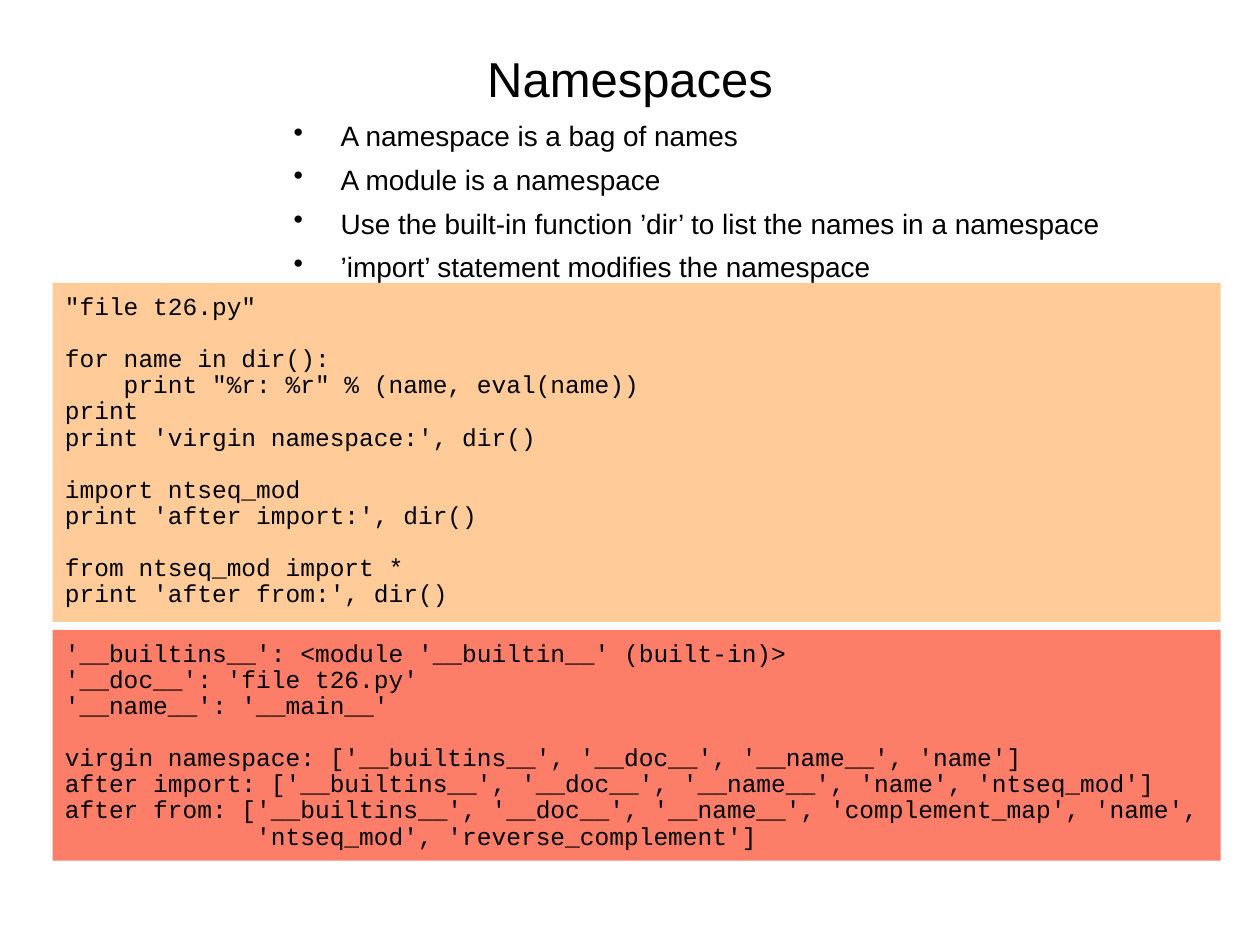
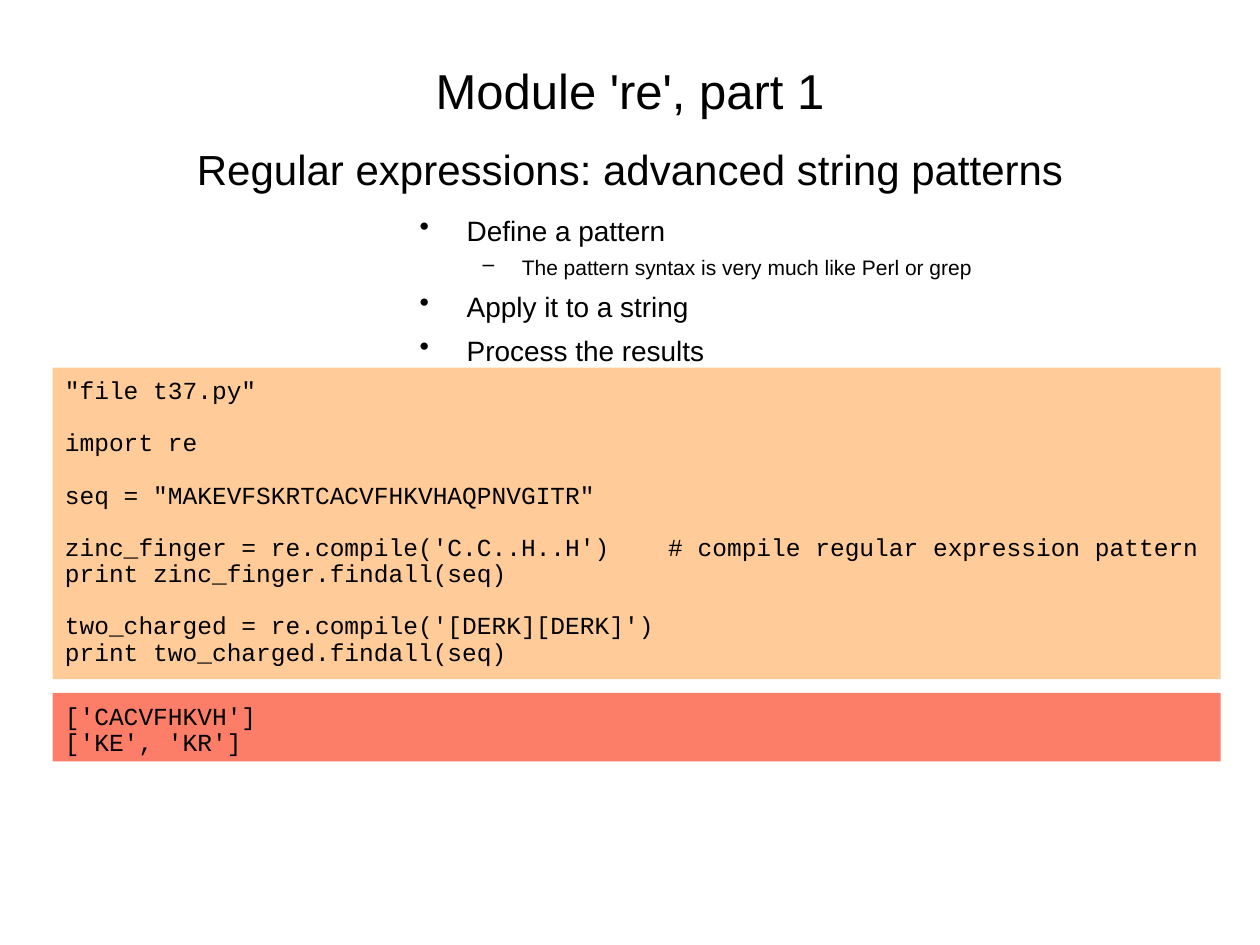
from lxml.etree import SubElement
from pptx import Presentation
from pptx.dml.color import RGBColor
from pptx.enum.shapes import MSO_SHAPE as Shape
from pptx.enum.text import MSO_ANCHOR as Anchor, PP_ALIGN as Align
from pptx.oxml.ns import qn
from pptx.util import Cm, Pt

INK, CODE, OUT = "000000", "FFCC99", "FC7D68"
SANS, MONO = "Arial", "Courier New"
PITCH = 14.95  # height of a code line, points

# Per bullet level: sign, text indent and hang in cm, size and gap in points
LEVELS = [("•", 0.95, 0.95, 16, 4), ("–", 2.06, 0.79, 12, 3)]


def hue(code):
    return RGBColor.from_string(code)


def style(par, name, size):
    par.font.name, par.font.size = name, Pt(size)
    par.font.color.rgb = hue(INK)


def frame(shape, pad=(0, 0), anchor=Anchor.TOP):
    """Prepare a text frame; pad is the side and top inset in cm."""
    text = shape.text_frame
    text.word_wrap, text.vertical_anchor = True, anchor
    text.margin_left = text.margin_right = Cm(pad[0])
    text.margin_top, text.margin_bottom = Cm(pad[1]), 0
    return text


def fill_in(text, lines):
    """Yield each line's paragraph, starting with the one already there."""
    for i, line in enumerate(lines):
        par = text.add_paragraph() if i else text.paragraphs[0]
        par.text = line
        yield i, par


def heading(shape, words, size):
    text = frame(shape, anchor=Anchor.MIDDLE)
    for _, par in fill_in(text, [words]):
        par.alignment, par.line_spacing = Align.CENTER, 1.04
        style(par, SANS, size)


def add_title(slide, words, top):
    title = slide.shapes.title
    title.left, title.top = Cm(1.9), Cm(top)
    title.width, title.height = Cm(21.6), Cm(1.42)
    heading(title, words, 28)


def add_lead(slide, words, top):
    box = slide.shapes.add_textbox(Cm(1.9), Cm(top), Cm(21.6), Cm(1.3))
    heading(box, words, 24)


def add_list(slide, items, box):
    """Place (level, words) items as a bulleted list."""
    text = frame(slide.shapes.add_textbox(*map(Cm, box)))
    for i, par in fill_in(text, [words for _, words in items]):
        par.level = items[i][0]
        sign, left, hang, size, gap = LEVELS[par.level]
        props = par._p.get_or_add_pPr()
        props.set("marL", str(Cm(left)))
        props.set("indent", str(-Cm(hang)))
        SubElement(props, qn("a:buChar")).set("char", sign)
        par.line_spacing = 1.09
        par.space_before = Pt(gap if i else 0)
        style(par, SANS, size)


def add_code(slide, code, color, top, height):
    """Place a listing; an empty line becomes space before the next one."""
    box = slide.shapes.add_shape(
        Shape.RECTANGLE, Cm(1.06), Cm(top), Cm(23.55), Cm(height))
    box.shadow.inherit = False
    box.fill.solid()
    box.fill.fore_color.rgb = hue(color)
    box.line.fill.background()
    text = frame(box, (0.25, 0.22))
    rows = code.strip("\n").split("\n")
    gaps = [i > 0 and not rows[i - 1] for i, row in enumerate(rows) if row]
    for i, par in fill_in(text, filter(None, rows)):
        par.alignment = Align.LEFT
        par.line_spacing = Pt(PITCH)
        par.space_before = Pt(PITCH if gaps[i] else 0)
        style(par, MONO, 14)


NAMES_CODE = '''
"file t26.py"

for name in dir():
    print "%r: %r" % (name, eval(name))
print
print 'virgin namespace:', dir()

import ntseq_mod
print 'after import:', dir()

from ntseq_mod import *
print 'after from:', dir()
'''

NAMES_OUT = '''
'__builtins__': <module '__builtin__' (built-in)>
'__doc__': 'file t26.py'
'__name__': '__main__'

virgin namespace: ['__builtins__', '__doc__', '__name__', 'name']
after import: ['__builtins__', '__doc__', '__name__', 'name', 'ntseq_mod']
after from: ['__builtins__', '__doc__', '__name__', 'complement_map', 'name',
             'ntseq_mod', 'reverse_complement']
'''

REGEX_CODE = '''
"file t37.py"

import re

seq = "MAKEVFSKRTCACVFHKVHAQPNVGITR"

zinc_finger = re.compile('C.C..H..H')    # compile regular expression pattern
print zinc_finger.findall(seq)

two_charged = re.compile('[DERK][DERK]')
print two_charged.findall(seq)
'''

REGEX_OUT = '''
['CACVFHKVH']
['KE', 'KR']
'''


def names_slide(slide):
    add_title(slide, "Namespaces", 0.84)
    add_code(slide, NAMES_CODE, CODE, 5.71, 6.83)
    add_code(slide, NAMES_OUT, OUT, 12.7, 4.65)
    add_list(slide, [
        (0, "A namespace is a bag of names"),
        (0, "A module is a namespace"),
        (0, "Use the built-in function ’dir’ to list the names in a namespace"),
        (0, "’import’ statement modifies the namespace"),
    ], (5.92, 2.34, 16.7, 3.25))


def regex_slide(slide):
    add_title(slide, "Module 're', part 1", 1.07)
    add_list(slide, [
        (0, "Define a pattern"),
        (1, "The pattern syntax is very much like Perl or grep"),
        (0, "Apply it to a string"),
        (0, "Process the results"),
    ], (8.46, 4.24, 12.07, 3.4))
    add_lead(slide, "Regular expressions: advanced string patterns", 2.74)
    add_code(slide, REGEX_CODE, CODE, 7.41, 6.28)
    add_code(slide, REGEX_OUT, OUT, 13.97, 1.38)


def main():
    deck = Presentation()
    deck.slide_width, deck.slide_height = Cm(25.4), Cm(19.05)
    plain = deck.slide_layouts[5]  # title only
    for build in (names_slide, regex_slide):
        build(deck.slides.add_slide(plain))
    deck.save("out.pptx")


if __name__ == "__main__":
    main()
